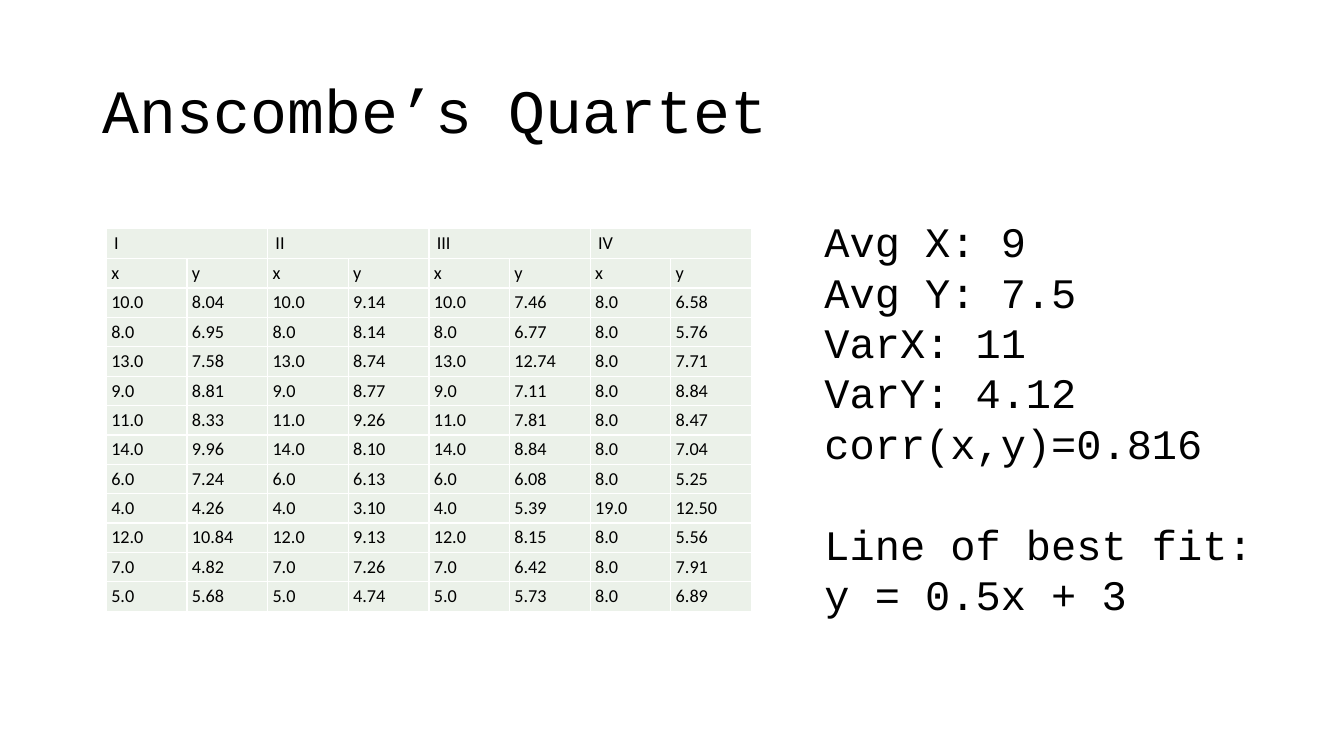
import pptx
import pptx.util
import pptx.dml.color
import pptx.enum.text
import pptx.oxml
import pptx.oxml.ns

Pt = pptx.util.Pt
BLACK = pptx.dml.color.RGBColor(0x00, 0x00, 0x00)
WHITE = pptx.dml.color.RGBColor(0xFF, 0xFF, 0xFF)
PALE_GREEN = pptx.dml.color.RGBColor(0xEB, 0xF1, 0xE9)
MONO = "Courier New"
SANS = "Calibri"


def add_span(para, text, font, size):
    span = para.add_run()
    span.text = text
    span.font.name = font
    span.font.size = Pt(size)
    span.font.bold = False
    span.font.color.rgb = BLACK


def add_borders(cell):
    properties = cell._tc.get_or_add_tcPr()
    for position, side in enumerate(("lnL", "lnR", "lnT", "lnB")):
        border = pptx.oxml.parse_xml(
            f'<a:{side} {pptx.oxml.ns.nsdecls("a")} w="12700">'
            f'<a:solidFill><a:srgbClr val="{WHITE}"/></a:solidFill></a:{side}>')
        properties.insert(position, border)


deck = pptx.Presentation()
deck.slide_width = Pt(960)
deck.slide_height = Pt(540)
page = deck.slides.add_slide(deck.slide_layouts.get_by_name("Title Only"))
page.background.fill.solid()
page.background.fill.fore_color.rgb = WHITE

# Title
title = page.shapes.title
title.left, title.top, title.width, title.height = Pt(66), Pt(28.8), Pt(828), Pt(104.4)
title.text_frame.auto_size = pptx.enum.text.MSO_AUTO_SIZE.NONE
title.text_frame.vertical_anchor = pptx.enum.text.MSO_ANCHOR.MIDDLE
para = title.text_frame.paragraphs[0]
para.alignment = pptx.enum.text.PP_ALIGN.LEFT
para.line_spacing = 0.9
add_span(para, "Anscombe’s Quartet", MONO, 44)

# Table of the four data sets: the first three share their x values
datasets = ["I", "II", "III", "IV"]
shared_x = "10.0 8.0 13.0 9.0 11.0 14.0 6.0 4.0 12.0 7.0 5.0".split()
fourth_x = ["8.0"] * 7 + ["19.0"] + ["8.0"] * 3
x_columns = [shared_x] * 3 + [fourth_x]
y_columns = [
    "8.04 6.95 7.58 8.81 8.33 9.96 7.24 4.26 10.84 4.82 5.68".split(),
    "9.14 8.14 8.74 8.77 9.26 8.10 6.13 3.10 9.13 7.26 4.74".split(),
    "7.46 6.77 12.74 7.11 7.81 8.84 6.08 5.39 8.15 6.42 5.73".split(),
    "6.58 5.76 7.71 8.84 8.47 7.04 5.25 12.50 5.56 7.91 6.89".split(),
]
columns = []
for name, x_values, y_values in zip(datasets, x_columns, y_columns):
    columns.append([name, "x"] + x_values)
    columns.append(["", "y"] + y_values)
row_count = len(columns[0])

frame = page.shapes.add_table(row_count, len(columns), Pt(76), Pt(162.8), Pt(460.8), Pt(274))
table = frame.table
table.first_row = False
table.horz_banding = False
for row_index, row in enumerate(table.rows):
    row.height = Pt(22 if row_index == 0 else 21)
for column_index, values in enumerate(columns):
    table.columns[column_index].width = Pt(57.6)
    for row_index, value in enumerate(values):
        cell = table.cell(row_index, column_index)
        cell.fill.solid()
        cell.fill.fore_color.rgb = PALE_GREEN
        cell.vertical_anchor = pptx.enum.text.MSO_ANCHOR.MIDDLE
        cell.margin_left = cell.margin_right = Pt(5.6 if row_index == 0 else 3.5)
        cell.margin_top = cell.margin_bottom = Pt(2.5)
        add_borders(cell)
        if value:
            add_span(cell.text_frame.paragraphs[0], value, SANS, 13)
for column_index in range(0, len(columns), 2):
    table.cell(0, column_index).merge(table.cell(0, column_index + 1))

# Shared statistics
statistics = ["Avg X: 9", "Avg Y: 7.5", "VarX: 11", "VarY: 4.12", "corr(x,y)=0.816",
              "Line of best fit:", "y = 0.5x + 3"]
box = page.shapes.add_textbox(Pt(581.8), Pt(150.5), Pt(347), Pt(334))
box.text_frame.word_wrap = True
for index, statistic in enumerate(statistics):
    para = box.text_frame.paragraphs[0] if index == 0 else box.text_frame.add_paragraph()
    if statistic.startswith("Line"):
        para.space_before = Pt(36)
    add_span(para, statistic, MONO, 30)

deck.save("out.pptx")
